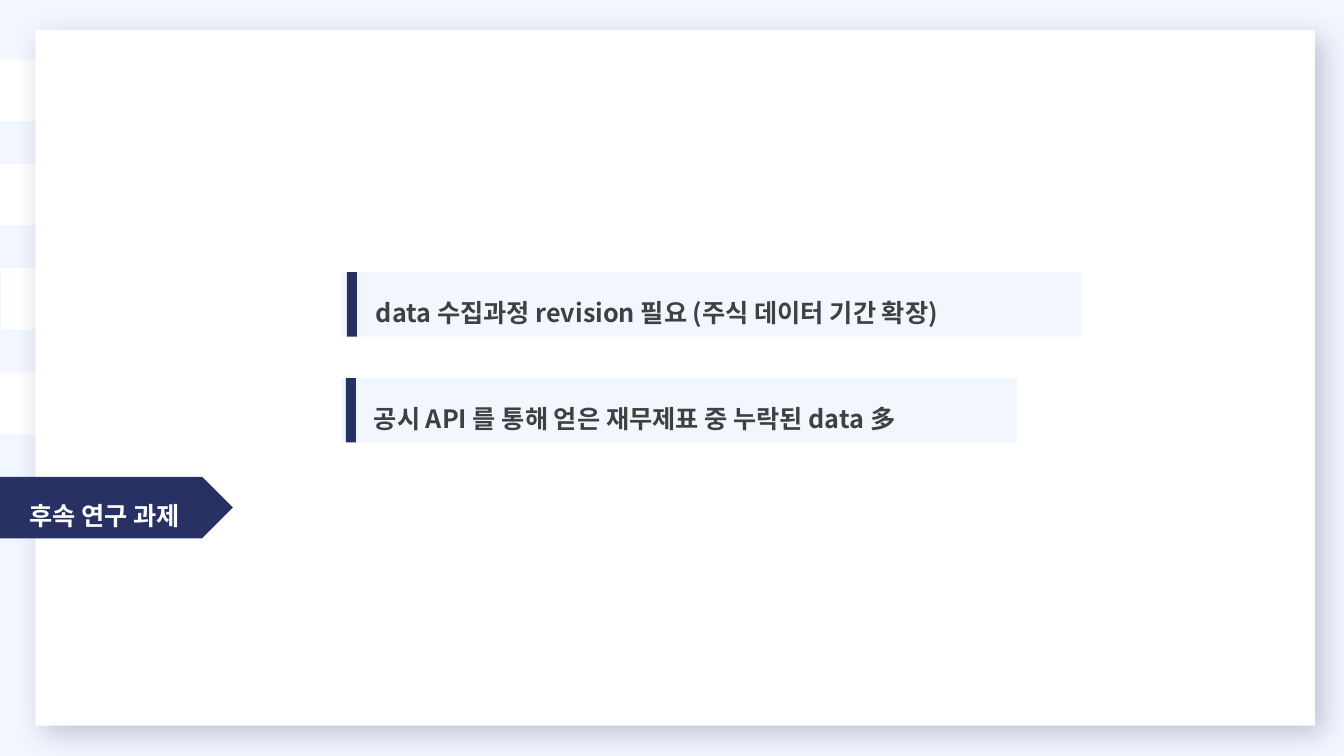
from dataclasses import dataclass

from lxml.etree import SubElement
from pptx import Presentation
from pptx.dml.color import RGBColor
from pptx.enum.shapes import MSO_SHAPE as Preset
from pptx.enum.text import MSO_AUTO_SIZE as AutoSize, PP_ALIGN as Align
from pptx.oxml.ns import qn
from pptx.shapes.autoshape import Shape
from pptx.slide import Slide
from pptx.util import Inches, Pt

WIDTH, HEIGHT = Inches(13.33), Inches(7.5)
FONT = "Noto Sans CJK KR"
NAVY, PALE, WHITE, GRAY = "273164", "F2F6FF", "FFFFFF", "404040"
TAB_TOP, TAB_STEP, TAB_HEIGHT = 7.87, 13.8, 8.13
NOTE_LEFT, NOTE_TOP, NOTE_STEP, NOTE_HEIGHT = 25.43, 36, 14, 8.53
TEXT_HEIGHT = 6.67


@dataclass(frozen=True)
class Area:
    """Percentages of the slide's width and height."""
    left: float
    top: float
    width: float
    height: float

    def lengths(self) -> tuple[int, int, int, int]:
        return (int(WIDTH * self.left / 100), int(HEIGHT * self.top / 100),
                int(WIDTH * self.width / 100), int(HEIGHT * self.height / 100))


@dataclass(frozen=True)
class Note:
    text: str
    width: float
    text_left: float
    text_width: float
    bar_left: float


NOTES = [
    Note("data 수집과정 revision 필요 (주식 데이터 기간 확장)", 55.06, 23.48, 55.06, 25.81),
    Note("공시 API 를 통해 얻은 재무제표 중 누락된 data 多", 50.26, 23.33, 65.19, 25.73),
]


def color(value: str) -> RGBColor:
    return RGBColor.from_string(value)


def add_block(page: Slide, preset: Preset, area: Area, fill: str) -> Shape:
    block = page.shapes.add_shape(preset, *area.lengths())
    block.shadow.inherit = False
    block.fill.solid()
    block.fill.fore_color.rgb = color(fill)
    block.line.fill.background()
    return block


def add_shadow(block: Shape) -> None:
    effects = block._element.spPr.find(qn("a:effectLst"))
    shadow = SubElement(effects, qn("a:outerShdw"), blurRad=str(Pt(20)),
                        dist=str(Pt(8)), dir=str(45 * 60000), algn="tl", rotWithShape="0")
    tint = SubElement(shadow, qn("a:srgbClr"), val=NAVY)
    SubElement(tint, qn("a:alpha"), val="26000")


def add_text(page: Slide, area: Area, text: str, ink: str,
             align: Align = Align.LEFT, level: int = 0) -> None:
    frame = page.shapes.add_textbox(*area.lengths()).text_frame
    frame.word_wrap = True
    frame.auto_size = AutoSize.SHAPE_TO_FIT_TEXT
    para = frame.paragraphs[0]
    para.text = text
    para.alignment = align
    para.level = level
    para.line_spacing = 1.5
    para.font.name = FONT
    para.font.size = Pt(18)
    para.font.bold = True
    para.font.color.rgb = color(ink)
    SubElement(para.font._element, qn("a:ea"), typeface=FONT)


def add_note(page: Slide, note: Note, top: float) -> None:
    add_block(page, Preset.RECTANGLE, Area(NOTE_LEFT, top, note.width, NOTE_HEIGHT), PALE)
    add_text(page, Area(note.text_left, top + 0.67, note.text_width, TEXT_HEIGHT),
             note.text, GRAY, level=1)
    add_block(page, Preset.RECTANGLE, Area(note.bar_left, top, 0.75, NOTE_HEIGHT), NAVY)


def main() -> None:
    deck = Presentation()
    deck.slide_width, deck.slide_height = WIDTH, HEIGHT
    page = deck.slides.add_slide(deck.slide_layouts[6])
    page.background.fill.solid()
    page.background.fill.fore_color.rgb = color(PALE)

    tab_tops = [TAB_TOP + TAB_STEP * index for index in range(5)]
    for index, top in enumerate(tab_tops[:-1]):
        left = 0.08 if index == 2 else 0
        add_block(page, Preset.PENTAGON, Area(left, top, 24.08, TAB_HEIGHT), WHITE)
    add_shadow(add_block(page, Preset.RECTANGLE, Area(2.63, 4, 95.2, 92), WHITE))

    active_top = tab_tops[-1]
    add_block(page, Preset.PENTAGON, Area(0, active_top, 17.33, TAB_HEIGHT), NAVY)
    add_text(page, Area(-0.08, active_top + 0.4, 15.68, TEXT_HEIGHT),
             "후속 연구 과제", WHITE, Align.CENTER)

    for index, note in enumerate(NOTES):
        add_note(page, note, NOTE_TOP + NOTE_STEP * index)
    deck.save("out.pptx")


if __name__ == "__main__":
    main()
